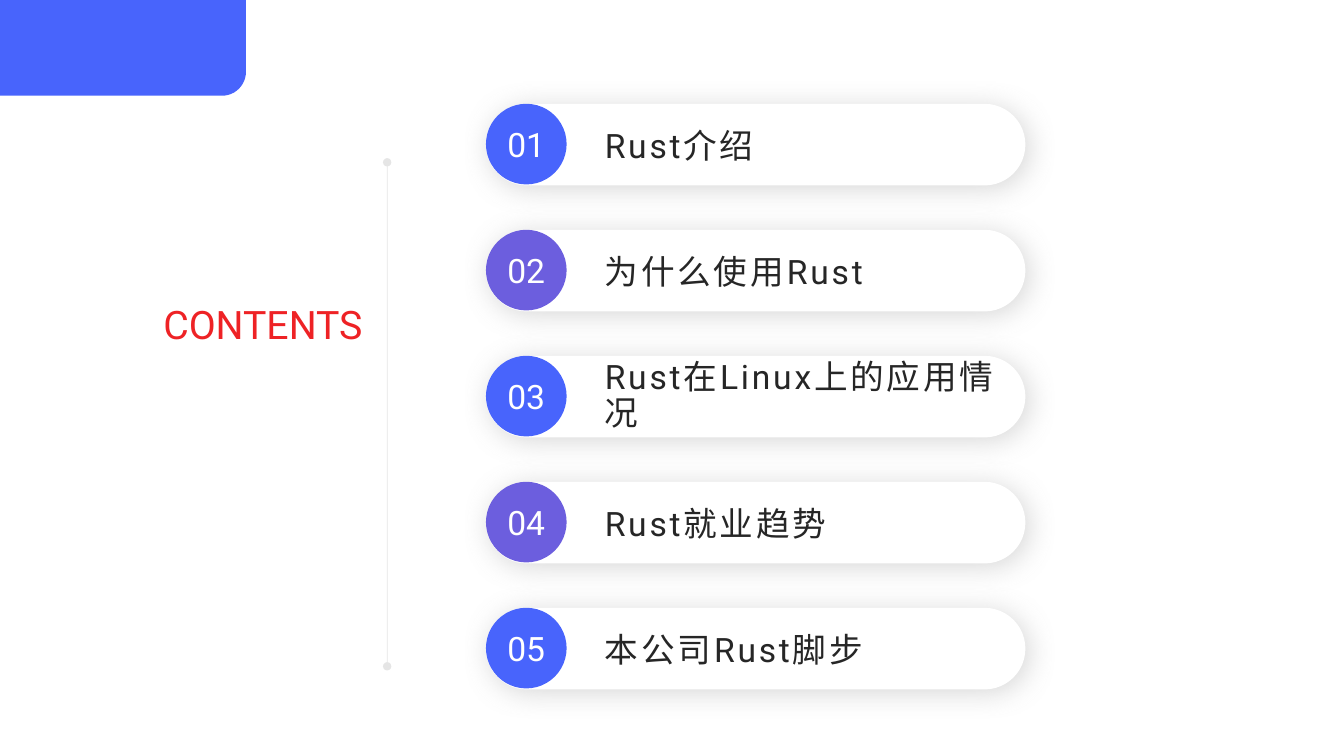
from dataclasses import dataclass

from lxml import etree
from pptx import Presentation
from pptx.dml.color import RGBColor
from pptx.enum.shapes import MSO_CONNECTOR, MSO_SHAPE
from pptx.enum.text import MSO_ANCHOR, MSO_AUTO_SIZE, PP_ALIGN
from pptx.oxml.ns import qn
from pptx.util import Inches, Pt

STRAIGHT = MSO_CONNECTOR.STRAIGHT
PILL, CIRCLE, CORNER = MSO_SHAPE.ROUNDED_RECTANGLE, MSO_SHAPE.OVAL, MSO_SHAPE.ROUND_1_RECTANGLE
TOP, MIDDLE = MSO_ANCHOR.TOP, MSO_ANCHOR.MIDDLE
LEFT, CENTER, JUSTIFY = PP_ALIGN.LEFT, PP_ALIGN.CENTER, PP_ALIGN.JUSTIFY
FIXED = MSO_AUTO_SIZE.NONE
TITLE_ONLY = 5


@dataclass(frozen=True)
class Theme:
    """Colours, font and type sizes of the slide."""
    blue: str = "4864FC"
    purple: str = "6C5EDE"
    red: str = "EE2225"
    ink: str = "262626"
    grey: str = "808080"
    white: str = "FFFFFF"
    font: str = "Roboto"
    title_size: int = 28
    item_size: int = 24


THEME = Theme()
ITEMS = ["Rust介绍", "为什么使用Rust", "Rust在Linux上的应用情况", "Rust就业趋势", "本公司Rust脚步"]
LIST_TOP, ROW_PITCH, ROW_HEIGHT = 1.03, 1.25, 0.81
PILL_LEFT, PILL_WIDTH = 4.82, 5.35
LABEL_LEFT, LABEL_WIDTH = 5.9, 4.16
TIGHT_LINES = 0.9


def add_filled(slide, kind, box, color):
    """Add a preset shape with a plain fill and neither outline nor shadow."""
    shape = slide.shapes.add_shape(kind, *map(Inches, box))
    shape.shadow.inherit = False
    shape.fill.solid()
    shape.fill.fore_color.rgb = RGBColor.from_string(color)
    shape.line.fill.background()
    return shape


def add_alpha(color_element, percent):
    """Set the opacity of a colour element."""
    etree.SubElement(color_element, qn("a:alpha"), val=str(percent * 1000))


def add_soft_shadow(shape):
    """Give a shape a soft grey shadow towards the lower right."""
    effects = shape._element.spPr.find(qn("a:effectLst"))
    shadow = etree.SubElement(
        effects, qn("a:outerShdw"), blurRad=str(Pt(20)), dist=str(Pt(3)),
        dir=str(45 * 60000), algn="tl", rotWithShape="0")
    add_alpha(etree.SubElement(shadow, qn("a:srgbClr"), val=THEME.grey), 30)


def write_text(shape, text, size, color, align, anchor, margins, wrap=True):
    """Put one formatted paragraph into a shape and return the paragraph."""
    frame = shape.text_frame
    frame.text = text
    frame.auto_size, frame.word_wrap, frame.vertical_anchor = FIXED, wrap, anchor
    frame.margin_left = frame.margin_right = Inches(margins[0])
    frame.margin_top = frame.margin_bottom = Inches(margins[1])
    paragraph = frame.paragraphs[0]
    paragraph.alignment = align
    paragraph.font.name = THEME.font
    paragraph.font.size = Pt(size)
    paragraph.font.color.rgb = RGBColor.from_string(color)
    return paragraph


def add_title(slide, text):
    """Place and format the title placeholder."""
    title = slide.shapes.title
    title.left, title.top, title.width, title.height = map(Inches, (1.52, 2.93, 2.71, 0.57))
    paragraph = write_text(title, text, THEME.title_size, THEME.red, JUSTIFY, TOP, (0.1, 0.05))
    paragraph.line_spacing = 1.0


def add_corner(slide):
    """Add the blue block whose lower right corner is rounded."""
    corner = add_filled(slide, CORNER, (0, 0, 2.44, 0.95), THEME.blue)
    corner.adjustments[0] = 0.25
    corner._element.spPr.xfrm.set("flipV", "1")


def add_divider(slide):
    """Add the pale vertical line with a dot at each end."""
    line = slide.shapes.add_connector(STRAIGHT, *map(Inches, (3.84, 1.61, 3.84, 6.61)))
    line.line.width = Pt(0.5)
    line.line.color.rgb = RGBColor.from_string(THEME.grey)
    properties = line._element.spPr
    outline = properties.find(qn("a:ln"))
    add_alpha(outline.find(".//" + qn("a:srgbClr")), 20)
    for end in ("a:headEnd", "a:tailEnd"):
        etree.SubElement(outline, qn(end), type="oval")
    etree.SubElement(properties, qn("a:effectLst"))


def add_item(slide, index, text):
    """Add one contents row: pill, numbered circle and label."""
    top = LIST_TOP + index * ROW_PITCH
    pill = add_filled(slide, PILL, (PILL_LEFT, top, PILL_WIDTH, ROW_HEIGHT), THEME.white)
    pill.adjustments[0] = 0.5
    add_soft_shadow(pill)

    color = (THEME.blue, THEME.purple)[index % 2]
    circle = add_filled(slide, CIRCLE, (PILL_LEFT, top, 0.8, 0.8), color)
    write_text(circle, f"{index + 1:02}", THEME.item_size, THEME.white, CENTER, MIDDLE, (0, 0), wrap=False)

    label = slide.shapes.add_textbox(*map(Inches, (LABEL_LEFT, top, LABEL_WIDTH, ROW_HEIGHT)))
    paragraph = write_text(label, text, THEME.item_size, THEME.ink, LEFT, MIDDLE, (0.1, 0))
    paragraph.runs[0].font._element.set("spc", "200")
    if len(text) > 12:
        paragraph.line_spacing = TIGHT_LINES


def main():
    """Build the contents slide and save it."""
    presentation = Presentation()
    presentation.slide_width, presentation.slide_height = Inches(13.33), Inches(7.5)
    slide = presentation.slides.add_slide(presentation.slide_layouts[TITLE_ONLY])
    add_divider(slide)
    add_corner(slide)
    add_title(slide, "CONTENTS")
    for index, text in enumerate(ITEMS):
        add_item(slide, index, text)
    presentation.save("out.pptx")


if __name__ == "__main__":
    main()
